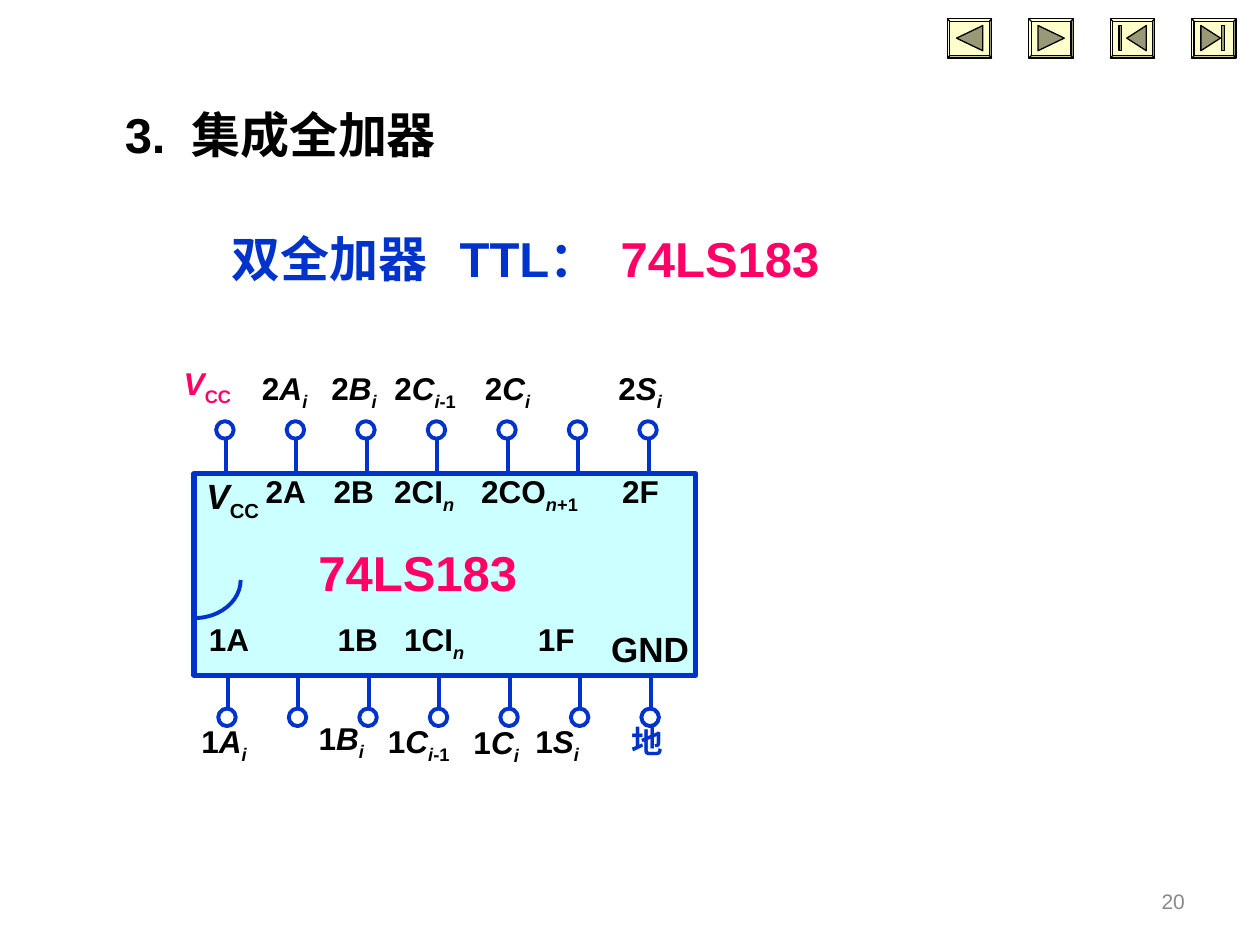
from dataclasses import dataclass

from lxml import etree
from pptx import Presentation
from pptx.dml.color import RGBColor
from pptx.enum.shapes import MSO_CONNECTOR, MSO_SHAPE
from pptx.enum.text import MSO_ANCHOR, MSO_AUTO_SIZE, PP_ALIGN
from pptx.oxml.ns import qn
from pptx.util import Pt

LEFT, CENTER, RIGHT = PP_ALIGN.LEFT, PP_ALIGN.CENTER, PP_ALIGN.RIGHT
TOP, MIDDLE = MSO_ANCHOR.TOP, MSO_ANCHOR.MIDDLE
TITLE_ONLY = 5


@dataclass(frozen=True)
class Theme:
    font: str = "Arial"
    ink: str = "000000"
    blue: str = "0033CC"
    pink: str = "FF0066"
    chip: str = "CCFFFF"
    paper: str = "FFFFFF"
    button: str = "FFFFCC"
    icon: str = "999977"
    muted: str = "898989"
    heading: float = 28
    supply: float = 20
    pin: float = 18
    footer: float = 12


THEME = Theme()


def rgb(color):
    return RGBColor.from_string(color)


def write_text(shape, runs, *, size=THEME.pin, color=THEME.ink, bold=True,
               align=LEFT, anchor=TOP, tab=None):
    """Write (text, style[, color]) runs; style holds i for italic, s for subscript."""
    frame = shape.text_frame
    frame.word_wrap = True
    frame.auto_size = MSO_AUTO_SIZE.NONE
    frame.vertical_anchor = anchor
    paragraph = frame.paragraphs[0]
    paragraph.alignment = align
    if tab:
        tabs = etree.SubElement(paragraph._p.get_or_add_pPr(), qn("a:tabLst"))
        etree.SubElement(tabs, qn("a:tab"), pos=str(Pt(tab)), algn="l")
    for text, style, *own_color in runs:
        run = paragraph.add_run()
        run.text = text
        font = run.font
        font.name, font.size, font.bold = THEME.font, Pt(size), bold
        font.italic = "i" in style
        font.color.rgb = rgb(own_color[0] if own_color else color)
        if "s" in style:
            run._r.get_or_add_rPr().set("baseline", "-25000")


def add_label(shapes, box, runs, **text_format):
    write_text(shapes.add_textbox(*map(Pt, box)), runs, **text_format)


def add_outlined(shapes, preset, box, fill, line, weight):
    shape = shapes.add_shape(preset, *map(Pt, box))
    shape.shadow.inherit = False
    if fill:
        shape.fill.solid()
        shape.fill.fore_color.rgb = rgb(fill)
    else:
        shape.fill.background()
    shape.line.color.rgb = rgb(line)
    shape.line.width = Pt(weight)
    return shape


def add_pin(shapes, x, outer, inner):
    """Draw a lead from the outer end to the chip edge, with a ring at the outer end."""
    lead = shapes.add_connector(MSO_CONNECTOR.STRAIGHT, Pt(x), Pt(outer), Pt(x), Pt(inner))
    lead.line.color.rgb = rgb(THEME.blue)
    lead.line.width = Pt(2.25)
    etree.SubElement(lead._element.spPr, qn("a:effectLst"))
    ring = 10
    ring_top = outer if outer < inner else outer - ring
    add_outlined(shapes, MSO_SHAPE.OVAL, (x - ring / 2 - 0.4, ring_top, ring, ring),
                 THEME.paper, THEME.blue, 2.25)


def signal(unit, letter, suffix=""):
    runs = [(unit, ""), (letter, "i"), ("i", "is")]
    return runs + [(suffix, "s")] if suffix else runs


def carry(name, suffix=""):
    runs = [(name, ""), ("n", "is")]
    return runs + [(suffix, "s")] if suffix else runs


def add_chip(shapes, box):
    left, top, width, height = box
    add_outlined(shapes, MSO_SHAPE.RECTANGLE, box, THEME.chip, THEME.blue, 3)
    pin_count, pitch = 7, 40.3
    for first, outer, inner in ((18, -30, 0), (19.2, height + 29, height)):
        for i in range(pin_count):
            add_pin(shapes, left + first + i * pitch, top + outer, top + inner)

    notch_width, notch_height = 26.6, 43.5
    notch = add_outlined(
        shapes, MSO_SHAPE.ARC,
        (left - notch_width, top + 39, 2 * notch_width, notch_height),
        None, THEME.blue, 2.25)
    notch.adjustments[0], notch.adjustments[1] = -54, 54  # quarter turns

    add_label(shapes, (left + 64, top + 36, 217, 41), [("74LS183", "")],
              size=THEME.heading, color=THEME.pink)

    supply = [("V", "i"), ("CC", "s")]
    wide = 102
    supply_format = {"size": THEME.supply}
    ground_format = {"align": CENTER}
    label_rows = (
        (-63.4, 75.6, (
            (-13, -2.9, supply, {"color": THEME.pink}),
            (31.7, 0, signal("2", "A"), {}),
            (71.3, 0, signal("2", "B"), {}),
            (107.3, 0, signal("2", "C", "-1"), {}),
            (159.1, 0, signal("2", "C"), {}),
            (235.4, 0, signal("2", "S"), {}))),
        (-4.3, wide, (
            (0, 1.4, supply, supply_format),
            (33.8, 0, [("2A", "")], {}),
            (72.7, 0, [("2B", "")], {}),
            (107.3, 0, carry("2CI"), {}),
            (157, 0, carry("2CO", "+1"), {}),
            (237.6, 0, [("2F", "")], {}))),
        (79.9, wide, (
            (1.4, 0, [("1A", "")], {}),
            (74.9, 0, [("1B", "")], {}),
            (113, 0, carry("1CI"), {}),
            (189.4, 0, [("1F", "")], {}),
            (209.6, 4.3, [("GND", "")], supply_format | ground_format))),
        (138.2, wide, (
            (-2.9, 0, signal("1", "A"), {}),
            (64.1, -1.4, signal("1", "B"), {}),
            (103.7, 0, signal("1", "C", "-1"), {}),
            (187.9, 0, signal("1", "S"), {}),
            (208.2, 0, [("地", "")], ground_format | {"color": THEME.blue}),
            (152.6, 0.8, signal("1", "C"), {}))),
    )
    for row_top, label_width, labels in label_rows:
        for x, shift, runs, text_format in labels:
            add_label(shapes, (left + x, top + row_top + shift, label_width, 31.7),
                      runs, **text_format)


def add_button(shapes, box, points_left, bar_x=None):
    """Draw a navigation button; bar_x places the stop bar of first and last."""
    left, top, width, height = box
    bevel = add_outlined(shapes, MSO_SHAPE.BEVEL, box, THEME.button, THEME.ink, 0.75)
    bevel.adjustments[0] = 0.06
    icon_top, icon_height = top + 3.8, 14.4
    icon_width = 15 if bar_x is None else 11.2
    middle = {None: width / 2, 5.8: 15, 17.8: 10.8}[bar_x]
    # The triangle points up before it is turned, so its sides swap.
    arrow = add_outlined(
        shapes, MSO_SHAPE.ISOSCELES_TRIANGLE,
        (left + middle - icon_height / 2, icon_top + (icon_height - icon_width) / 2,
         icon_height, icon_width),
        THEME.icon, THEME.ink, 0.75)
    arrow.rotation = 270 if points_left else 90
    if bar_x is not None:
        add_outlined(shapes, MSO_SHAPE.RECTANGLE,
                     (left + bar_x - 0.8, icon_top, 1.6, icon_height),
                     THEME.icon, THEME.ink, 0.75)


def add_navigation(shapes, box):
    left, top, width, height = box
    button_width = 25.4
    buttons = ((True, None), (False, None), (True, 5.8), (False, 17.8))
    step = (width - button_width) / (len(buttons) - 1)
    for i, (points_left, bar_x) in enumerate(buttons):
        add_button(shapes, (left + i * step, top, button_width, height), points_left, bar_x)


def add_headings(slide, box):
    left, top, width, height = box
    title = slide.shapes.title
    title.left, title.top, title.width, title.height = map(Pt, (left, top, 296, height))
    write_text(title, [("3.\t集成全加器", "")], size=THEME.heading, tab=38)
    heading_format = {"size": THEME.heading, "color": THEME.blue}
    add_label(slide.shapes, (left + 191.5, top + 70.6, width - 191.5, height),
              [("TTL：\t", ""), ("74LS183", "", THEME.pink)], tab=92, **heading_format)
    add_label(slide.shapes, (left + 61.2, top + 70.6, 181, height),
              [("双全加器", "")], **heading_format)


def main():
    deck = Presentation()
    deck.slide_width, deck.slide_height = Pt(720), Pt(540)
    slide = deck.slides.add_slide(deck.slide_layouts[TITLE_ONLY])
    add_headings(slide, (64.1, 56.2, 619, 41))
    add_chip(slide.shapes.add_group_shape().shapes, (110.9, 270.7, 286.6, 115.2))
    add_navigation(slide.shapes, (541.4, 10.8, 165, 22.4))
    add_label(slide.shapes, (516.2, 500.4, 168, 28.8), [("20", "")], size=THEME.footer,
              color=THEME.muted, bold=False, align=RIGHT, anchor=MIDDLE)
    deck.save("out.pptx")


if __name__ == "__main__":
    main()
